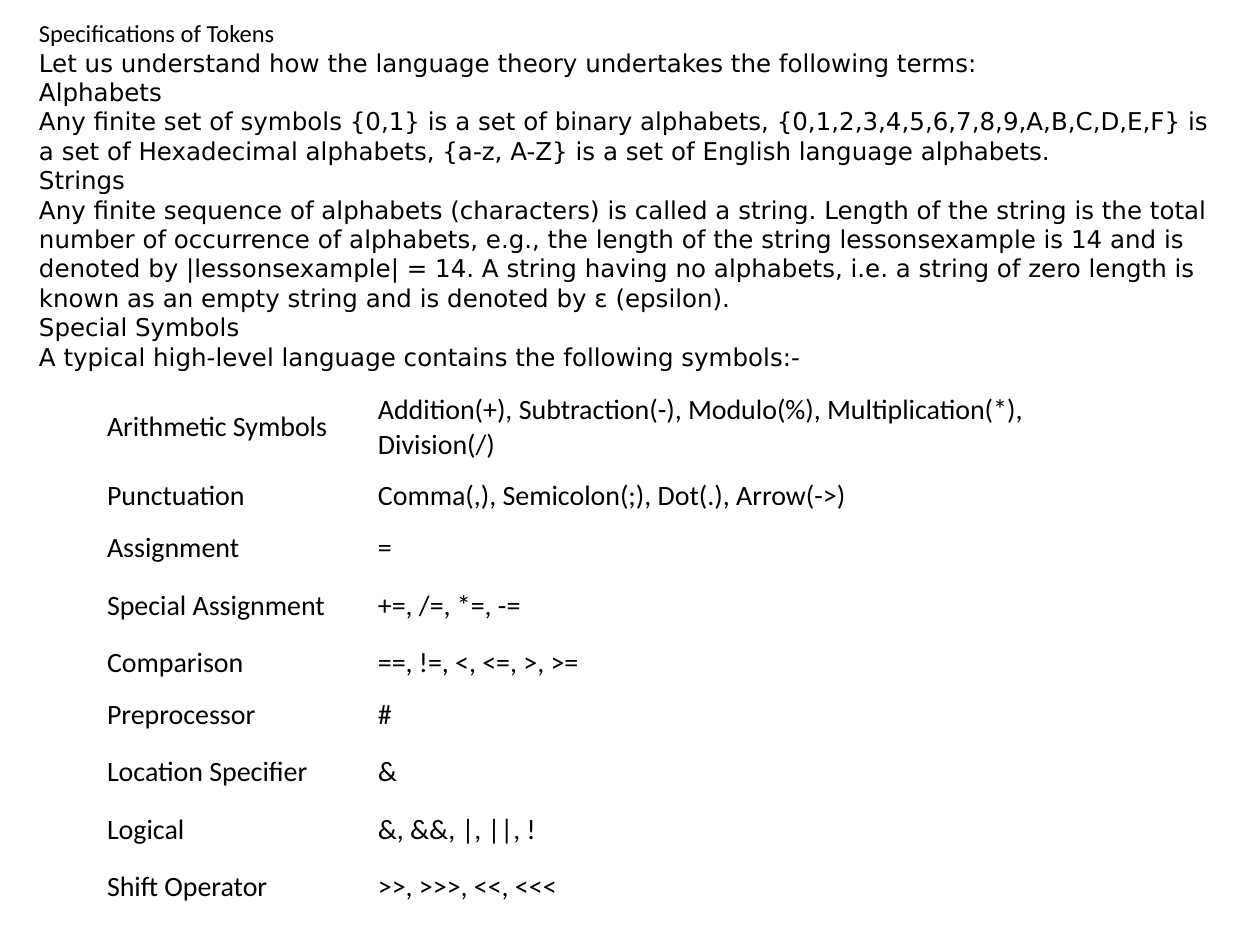
from pptx import Presentation
from pptx import util as u
from pptx.dml import color
from pptx.enum import text

COLORS = {"background": "FFFFFF", "ink": "000000"}
HEADING_FONT, BODY_FONT = "Calibri", "DejaVu Sans"
GRID_COLUMNS, GRID_ROWS = 100, 75

TOKEN_NOTES = [
    "Specifications of Tokens",
    "Let us understand how the language theory undertakes the following terms:",
    "Alphabets",
    "Any finite set of symbols {0,1} is a set of binary alphabets, "
    "{0,1,2,3,4,5,6,7,8,9,A,B,C,D,E,F} is a set of Hexadecimal alphabets, "
    "{a-z, A-Z} is a set of English language alphabets.",
    "Strings",
    "Any finite sequence of alphabets (characters) is called a string. Length of the "
    "string is the total number of occurrence of alphabets, e.g., the length of the "
    "string lessonsexample is 14 and is denoted by |lessonsexample| = 14. A string "
    "having no alphabets, i.e. a string of zero length is known as an empty string "
    "and is denoted by ε (epsilon).",
    "Special Symbols",
    "A typical high-level language contains the following symbols:-",
]

# Row height in grid rows, kind of symbol, symbols
SYMBOL_ROWS = [
    (5, "Arithmetic Symbols",
     "Addition(+), Subtraction(-), Modulo(%), Multiplication(*), Division(/)"),
    (3, "Punctuation", "Comma(,), Semicolon(;), Dot(.), Arrow(->)"),
    (3, "Assignment", "="),
    (5, "Special Assignment", "+=, /=, *=, -="),
    (3, "Comparison", "==, !=, <, <=, >, >="),
    (3, "Preprocessor", "#"),
    (5, "Location Specifier", "&"),
    (3, "Logical", "&, &&, |, ||, !"),
    (5, "Shift Operator", ">>, >>>, <<, <<<"),
]


def set_attributes(target, values):
    for name, value in values.items():
        setattr(target, name, value)


class SlideBuilder:
    def __init__(self, presentation):
        self.column = presentation.slide_width / GRID_COLUMNS
        self.row = presentation.slide_height / GRID_ROWS
        self.slide = presentation.slides.add_slide(presentation.slide_layouts[6])
        fill = self.slide.background.fill
        fill.solid()
        fill.fore_color.rgb = color.RGBColor.from_string(COLORS["background"])

    def place(self, left, top, width, height):
        return (round(left * self.column), round(top * self.row),
                round(width * self.column), round(height * self.row))

    def add_words(self, paragraph, words, font, size):
        run = paragraph.add_run()
        run.text = words
        set_attributes(run.font, {"name": font, "size": u.Pt(size)})
        run.font.color.rgb = color.RGBColor.from_string(COLORS["ink"])

    def text_box(self, area, lines, size):
        frame = self.slide.shapes.add_textbox(*self.place(*area)).text_frame
        set_attributes(frame, {
            "word_wrap": True,
            "auto_size": text.MSO_AUTO_SIZE.SHAPE_TO_FIT_TEXT,
            "vertical_anchor": text.MSO_ANCHOR.MIDDLE,
            "margin_left": 0, "margin_right": 0,
            "margin_top": u.Inches(0.05), "margin_bottom": u.Inches(0.05),
        })
        for index, line in enumerate(lines):
            paragraph = frame.add_paragraph() if index else frame.paragraphs[0]
            self.add_words(paragraph, line, BODY_FONT if index else HEADING_FONT, size)

    def table(self, area, column_widths, rows, size):
        place = self.place(*area)
        shape = self.slide.shapes.add_table(len(rows), len(column_widths), *place)
        table = shape.table
        set_attributes(table, {"first_row": False, "horz_banding": False})
        for column, width in zip(table.columns, column_widths):
            column.width = round(width * self.column)
        margin = u.Inches(0.07)
        cell_format = {"vertical_anchor": text.MSO_ANCHOR.MIDDLE,
                       "margin_left": margin, "margin_right": margin,
                       "margin_top": margin, "margin_bottom": margin}
        for row, (height, *entries) in zip(table.rows, rows):
            row.height = round(height * self.row)
            for cell, entry in zip(row.cells, entries):
                set_attributes(cell, cell_format)
                cell.fill.background()
                self.add_words(cell.text_frame.paragraphs[0], entry, HEADING_FONT, size)
        # Rows grow with their text, so the frame is taller than their minimum
        shape.height = place[3]


def main():
    presentation = Presentation()
    set_attributes(presentation, {"slide_width": u.Inches(10),
                                  "slide_height": u.Inches(7.5)})
    builder = SlideBuilder(presentation)

    # Table of special symbols
    builder.table((7.8, 30.5, 82.8, 42.4), (21.5, 61.3), SYMBOL_ROWS, size=16)

    # Heading and explanation of terms
    builder.text_box((3.1, 0.8, 93, 29.3), TOKEN_NOTES, size=14)

    presentation.save("out.pptx")


if __name__ == "__main__":
    main()
